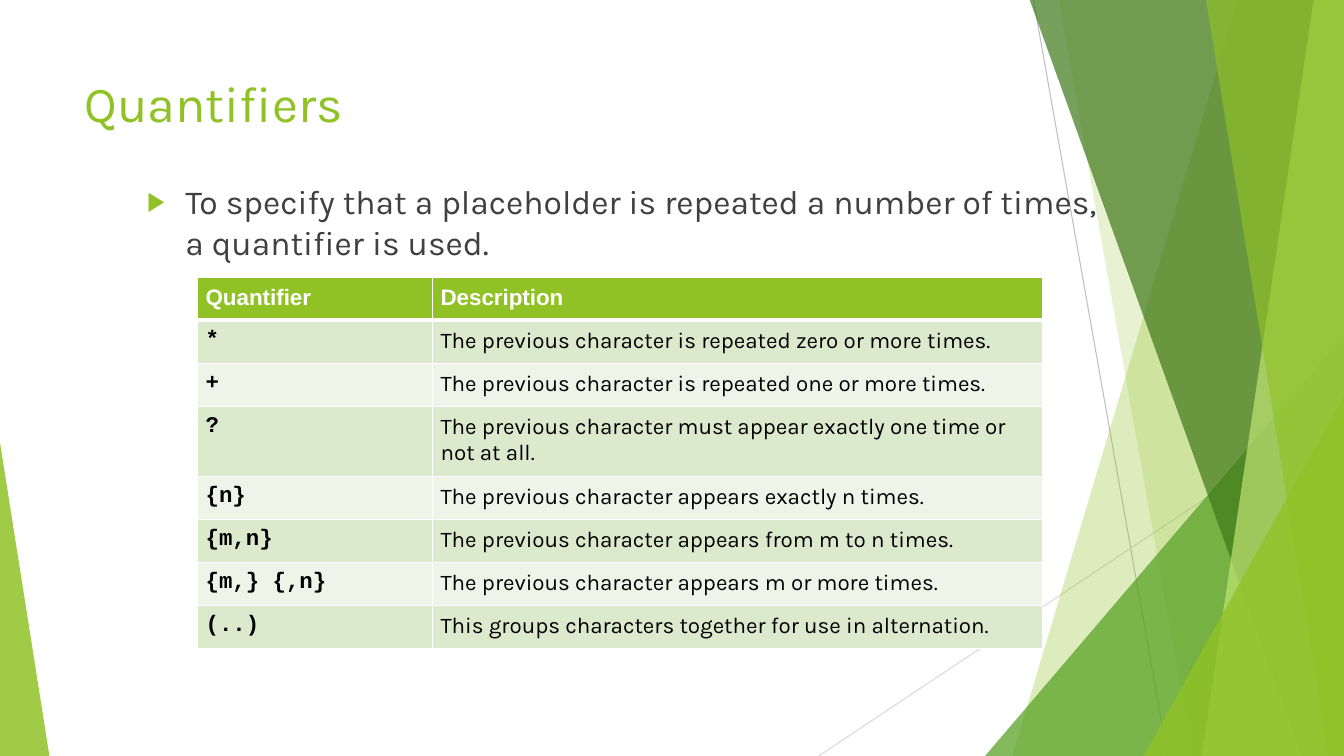
from lxml import etree
from pptx import Presentation
from pptx.dml.color import RGBColor
from pptx.enum import shapes, text
from pptx.oxml import ns
from pptx.util import Inches, Pt

WHITE = RGBColor(0xFF, 0xFF, 0xFF)
BLACK = RGBColor(0, 0, 0)
BODY_GRAY = RGBColor(0x40, 0x40, 0x40)
MID_GRAY = RGBColor(0xBF, 0xBF, 0xBF)
LIGHT_GRAY = RGBColor(0xD9, 0xD9, 0xD9)
LIME = RGBColor(0x90, 0xC2, 0x26)
PALE_LIME = RGBColor(0xC0, 0xE4, 0x74)
GREEN = RGBColor(0x54, 0xA0, 0x21)
DARK_GREEN = RGBColor(0x3F, 0x78, 0x19)
BANDS = (RGBColor(0xDB, 0xE9, 0xCD), RGBColor(0xEE, 0xF4, 0xE8))

WIDTH, HEIGHT = 13.33, 7.5
BLEED_TOP = -0.01

QUANTIFIERS = [
    ("*", "The previous character is repeated zero or more times."),
    ("+", "The previous character is repeated one or more times."),
    ("?", "The previous character must appear exactly one time or not at all."),
    ("{n}", "The previous character appears exactly n times."),
    ("{m,n}", "The previous character appears from m to n times."),
    ("{m,} {,n}", "The previous character appears m or more times."),
    ("(..)", "This groups characters together for use in alternation."),
]

HEADER_FORMAT = {"name": "Arial", "size": Pt(16), "bold": True}
SYMBOL_FORMAT = {"name": "Courier New", "size": Pt(16), "bold": True}
DESCRIPTION_FORMAT = {"name": "Karla", "size": Pt(16), "bold": False}


def add_element(parent, tag, **attributes):
    return etree.SubElement(parent, ns.qn(tag), attributes)


def format_font(font, color, formats):
    for name, value in formats.items():
        setattr(font, name, value)
    font.color.rgb = color


def paint_facet(facet, color, opacity):
    """Fill a decorative shape with a see-through colour; opacity in percent."""
    facet.shadow.inherit = False
    facet.fill.solid()
    facet.fill.fore_color.rgb = color
    facet.line.fill.background()
    srgb = facet._element.spPr.find(".//" + ns.qn("a:srgbClr"))
    add_element(srgb, "a:alpha", val=str(opacity * 1000))


def add_ray(slide, start, end, color):
    ray = slide.shapes.add_connector(
        shapes.MSO_CONNECTOR.STRAIGHT, *map(Inches, start + end))
    ray.line.color.rgb = color
    ray.line.width = Pt(0.75)
    add_element(ray._element.spPr, "a:effectLst")


def add_edge_facet(slide, top_x, bottom_x, color, opacity):
    """Add a facet that reaches from a slanted left side to the slide's right edge."""
    corners = [(WIDTH, BLEED_TOP), (WIDTH, HEIGHT), (bottom_x, HEIGHT)]
    builder = slide.shapes.build_freeform(Inches(top_x), Inches(BLEED_TOP))
    builder.add_line_segments([(Inches(x), Inches(y)) for x, y in corners])
    paint_facet(builder.convert_to_shape(), color, opacity)


def add_corner_triangle(slide, left, top, width, apex, color, opacity):
    """Add a triangle standing on the slide's bottom; apex 0 is left, 1 is right."""
    triangle = slide.shapes.add_shape(
        shapes.MSO_SHAPE.ISOSCELES_TRIANGLE,
        *map(Inches, (left, top, width, HEIGHT - top)))
    triangle.adjustments[0] = apex
    paint_facet(triangle, color, opacity)


def add_backdrop(slide):
    add_ray(slide, (10.25, 0), (11.58, HEIGHT), MID_GRAY)
    add_ray(slide, (WIDTH, 4.03), (8.12, HEIGHT), LIGHT_GRAY)
    add_edge_facet(slide, 12.28, 10.04, LIME, 30)
    add_edge_facet(slide, 10.5, 11.83, LIME, 20)
    add_corner_triangle(slide, 9.77, 3.33, 3.56, 1, GREEN, 72)
    add_edge_facet(slide, 10.21, 12.91, DARK_GREEN, 70)
    add_edge_facet(slide, 13.03, 11.92, PALE_LIME, 70)
    add_edge_facet(slide, 11.96, 13.18, LIME, 65)
    add_corner_triangle(slide, 11.34, 3.93, 1.99, 1, LIME, 80)
    add_corner_triangle(slide, 0, 4.39, 0.49, 0, LIME, 85)


def add_bullet(paragraph):
    properties = paragraph._p.get_or_add_pPr()
    indent = Inches(0.38)
    properties.set("marL", str(indent))
    properties.set("indent", str(-indent))
    bullet_color = add_element(properties, "a:buClr")
    add_element(bullet_color, "a:srgbClr", val=str(LIME))
    add_element(properties, "a:buSzPct", val="80000")
    add_element(properties, "a:buFont", typeface="Arial")
    add_element(properties, "a:buChar", char="▶")


def add_text(slide, box, content, size, color, bulleted=False):
    frame = slide.shapes.add_textbox(*map(Inches, box)).text_frame
    frame.word_wrap = True
    frame.vertical_anchor = text.MSO_ANCHOR.TOP
    paragraph = frame.paragraphs[0]
    paragraph.text = content
    if bulleted:
        add_bullet(paragraph)
    format_font(paragraph.runs[0].font, color, {"name": "Karla", "size": Pt(size)})


def add_borders(cell, top, bottom):
    properties = cell._tc.get_or_add_tcPr()
    for side, width in (("L", 1), ("R", 1), ("T", top), ("B", bottom)):
        border = add_element(properties, "a:ln" + side, w=str(Pt(width)))
        fill = add_element(border, "a:solidFill")
        add_element(fill, "a:srgbClr", val=str(WHITE))


def fill_cell(cell, content, fill, color, formats, top=1, bottom=1):
    for side in ("left", "right", "top", "bottom"):
        setattr(cell, "margin_" + side, Inches(0.08))
    add_borders(cell, top, bottom)
    cell.fill.solid()
    cell.fill.fore_color.rgb = fill
    cell.text = content
    format_font(cell.text_frame.paragraphs[0].runs[0].font, color, formats)


def add_quantifier_table(slide):
    column_widths = (2.33, 6.05)
    row_height = 0.41
    row_count = len(QUANTIFIERS) + 1
    table = slide.shapes.add_table(
        row_count, len(column_widths), Inches(1.96), Inches(2.75),
        Inches(sum(column_widths)), Inches(row_height * row_count)).table
    for column, width in zip(table.columns, column_widths):
        column.width = Inches(width)
    for row in table.rows:
        row.height = Inches(row_height)
    for column, heading in enumerate(("Quantifier", "Description")):
        fill_cell(table.cell(0, column), heading, LIME, WHITE, HEADER_FORMAT, bottom=3)
    for row, entry in enumerate(QUANTIFIERS, start=1):
        band = BANDS[(row - 1) % 2]
        top = 3 if row == 1 else 1
        for column, formats in enumerate((SYMBOL_FORMAT, DESCRIPTION_FORMAT)):
            fill_cell(table.cell(row, column), entry[column], band, BLACK, formats, top)


def main():
    deck = Presentation()
    deck.slide_width, deck.slide_height = Inches(WIDTH), Inches(HEIGHT)
    slide = deck.slides.add_slide(deck.slide_layouts[6])
    add_backdrop(slide)
    add_text(slide, (0.74, 0.67, 9.4, 1.44), "Quantifiers", 36, LIME)
    add_text(slide, (1.36, 1.75, 9.81, 1),
             "To specify that a placeholder is repeated a number of times, "
             "a quantifier is used.", 24, BODY_GRAY, bulleted=True)
    add_quantifier_table(slide)
    deck.save("out.pptx")


if __name__ == "__main__":
    main()
